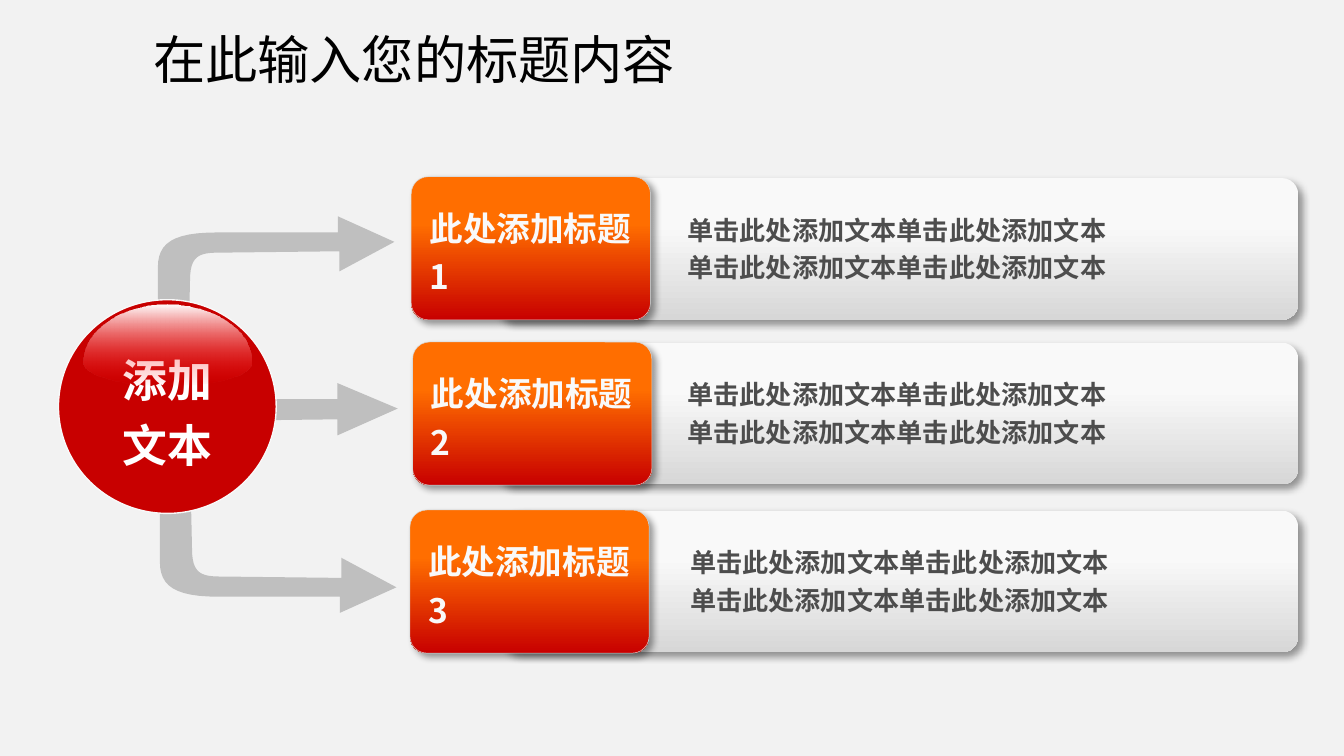
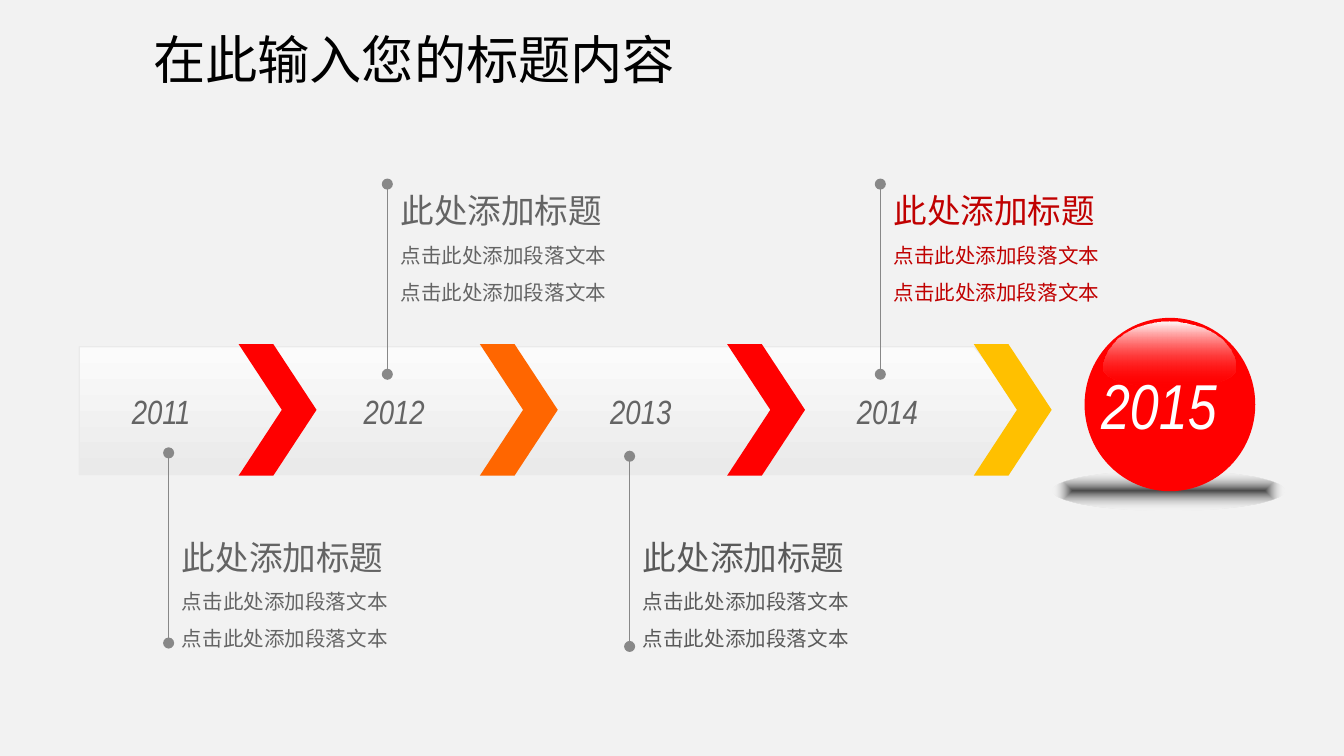
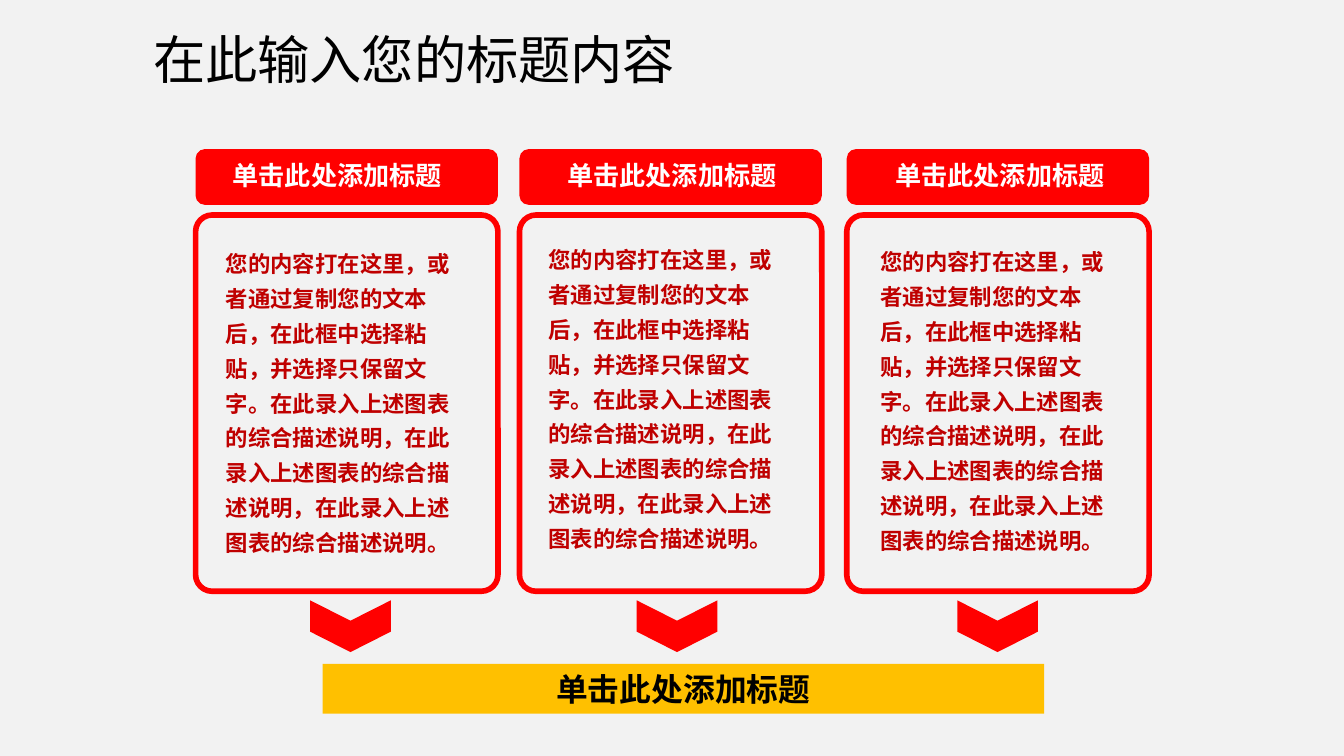
"""Build three business slides: a fan-out list, a timeline and a three-column summary."""
from math import cos, pi, sin

from lxml import etree
from pptx import Presentation
from pptx.dml.color import RGBColor
from pptx.enum.shapes import MSO_CONNECTOR, MSO_SHAPE
from pptx.enum.text import MSO_ANCHOR, MSO_AUTO_SIZE, PP_ALIGN
from pptx.oxml.ns import qn
from pptx.util import Inches, Pt

ROUNDED, OVAL, CHEVRON = MSO_SHAPE.ROUNDED_RECTANGLE, MSO_SHAPE.OVAL, MSO_SHAPE.CHEVRON
PENTAGON, RECTANGLE = MSO_SHAPE.PENTAGON, MSO_SHAPE.RECTANGLE
STRAIGHT = MSO_CONNECTOR.STRAIGHT
LEFT, CENTER = PP_ALIGN.LEFT, PP_ALIGN.CENTER
TOP, MIDDLE = MSO_ANCHOR.TOP, MSO_ANCHOR.MIDDLE
GROW = MSO_AUTO_SIZE.SHAPE_TO_FIT_TEXT

COLUMNS, ROWS = 100, 56.25
UNIT = Inches(10) // COLUMNS
SANS = "Noto Sans CJK SC"
RED, DEEP_RED, DARK_RED = "FF0000", "C80000", "BF0000"
AMBER, ORANGE, WHITE, BLACK = "FFC000", "FF6600", "FFFFFF", "000000"
PAPER, ARROW_GREY, TEXT_GREY = "F2F2F2", "BFBFBF", "646464"
SILVER = [(0.33, "F9F9F9", 100), (1, "D7D7D7", 100)]
FLAME = [(0.33, "FF6E00", 100), (1, DEEP_RED, 100)]
RIBBON = [(0, "FBFBFB", 100), (1, "EAEAEA", 100)]
GLOSS = [(0, WHITE, 100), (1, RED, 0)]
FLOOR = [(0, BLACK, 70), (1, WHITE, 0)]
GROWING = {"word_wrap": True, "auto_size": GROW}
TIGHT = {**GROWING, "margin_left": Inches(0.09), "margin_right": Inches(0.09),
         "margin_top": Inches(0.04), "margin_bottom": Inches(0.04)}
CENTRED = {"word_wrap": True, "vertical_anchor": MIDDLE}


def draw(slide, outline, box=(), fill=None, line=None, adjust=None, shadow=False):
    """Draw a preset, a polygon given as a list of points, or a text box for None."""
    place = [round(value * UNIT) for value in box]
    if outline is None:
        return slide.shapes.add_textbox(*place)
    if isinstance(outline, list):
        points = [(round(x * UNIT), round(y * UNIT)) for x, y in outline]
        builder = slide.shapes.build_freeform(*points[0])
        builder.add_line_segments(points[1:], close=True)
        shape = builder.convert_to_shape()
    else:
        shape = slide.shapes.add_shape(outline, *place)
    if adjust is not None:
        shape.adjustments[0] = adjust
    properties = shape._element.spPr
    if fill is None:
        shape.fill.background()
    elif isinstance(fill, str):
        shape.fill.solid()
        shape.fill.fore_color.rgb = RGBColor.from_string(fill)
    else:
        shape.fill.gradient()
        shape.fill.gradient_angle = 270
        for stop, (position, colour, _) in zip(shape.fill.gradient_stops, fill):
            stop.position = position
            stop.color.rgb = RGBColor.from_string(colour)
        for colour, (_, _, opacity) in zip(list(properties.iter(qn("a:srgbClr"))), fill):
            if opacity < 100:
                etree.SubElement(colour, qn("a:alpha"), val=str(opacity * 1000))
    if line:
        shape.line.color.rgb = RGBColor.from_string(line[0])
        shape.line.width = Pt(line[1])
    else:
        shape.line.fill.background()
    shape.shadow.inherit = False
    if shadow:
        outer = etree.SubElement(properties.find(qn("a:effectLst")), qn("a:outerShdw"),
                                 blurRad=str(Pt(4)), dist=str(Pt(3)), dir="2700000", algn="tl")
        colour = etree.SubElement(outer, qn("a:srgbClr"), val=BLACK)
        etree.SubElement(colour, qn("a:alpha"), val="40000")
    return shape


def write(shape, lines, colour, frame_format, paragraph_format, **font_format):
    """Write (text, size) lines into a shape, one paragraph each."""
    frame = shape.text_frame
    for key, value in frame_format.items():
        setattr(frame, key, value)
    for index, (text, size) in enumerate(lines):
        paragraph = frame.add_paragraph() if index else frame.paragraphs[0]
        for key, value in paragraph_format.items():
            setattr(paragraph, key, value)
        paragraph._p.get_or_add_pPr().set("hangingPunct", "0")
        run = paragraph.add_run()
        run.text = text
        for key, value in {"name": SANS, "size": Pt(size), **font_format}.items():
            setattr(run.font, key, value)
        run.font.color.rgb = RGBColor.from_string(colour)
        etree.SubElement(run._r.get_or_add_rPr(), qn("a:ea"), typeface=SANS)


prs = Presentation()
prs.slide_width, prs.slide_height = COLUMNS * UNIT, round(ROWS * UNIT)
backdrop = prs.slide_master.background.fill
backdrop.solid()
backdrop.fore_color.rgb = RGBColor.from_string(PAPER)

slides = [prs.slides.add_slide(prs.slide_layouts[5]) for _ in range(3)]
for slide in slides:
    title = slide.shapes.title
    for side, value in {"left": 10.4, "top": 1.5, "width": 42.4, "height": 5.7}.items():
        setattr(title, side, round(value * UNIT))
    write(title, [("在此输入您的标题内容", 28)], BLACK,
          {**GROWING, "vertical_anchor": TOP}, {"alignment": LEFT})
fan_out, timeline, summary = slides

bend_segments = [
    [(14.3, 41.2)], [(14.4, 42.9), (15.3, 42.9), (16.8, 42.9)], [(25.4, 43)],
    [(25.4, 41.5)], [(29.5, 43.7)], [(25.3, 45.6)], [(25.3, 44.4)], [(16.3, 44.4)],
    [(13, 44.4), (11.9, 43.6), (11.9, 41.8)], [(11.9, 31.9)],
    [(12.2, 30.3), (13.6, 30.4), (14.1, 32.1)],
]
bend = [(14.1, 32.1)]
for segment in bend_segments:
    if len(segment) == 1:
        bend += segment
        continue
    knots = [bend[-1], *segment]
    for step in range(1, 13):
        t = step / 12
        weights = ((1 - t) ** 3, 3 * t * (1 - t) ** 2, 3 * t * t * (1 - t), t ** 3)
        bend.append(tuple(sum(w * knot[axis] for w, knot in zip(weights, knots))
                          for axis in (0, 1)))
straight_arrow = [(8.6, 29.7), (25.1, 29.7), (25.1, 28.5), (29.6, 30.4),
                  (25.1, 32.4), (25.1, 31.2), (8.7, 31.4)]
for arrow in (bend, straight_arrow, [(x - 0.15, 61.7 - y) for x, y in bend]):
    draw(fan_out, arrow, fill=ARROW_GREY)

card_right = 96.6
fan_rows = [(30.6, 13.15, 36.9, 13.25), (30.7, 25.45, 36.9, 25.5), (30.5, 37.95, 37.3, 38)]
for number, (tile_left, tile_top, card_left, card_top) in enumerate(fan_rows, 1):
    card = draw(fan_out, ROUNDED, (card_left, card_top, card_right - card_left, 10.55),
                SILVER, adjust=0.115, shadow=True)
    write(card, [("单击此处添加文本单击此处添加文本", 14)] * 2, "4D4D4D",
          {**CENTRED, "margin_bottom": Inches(0.1)},
          {"alignment": CENTER, "line_spacing": 1.2}, bold=True)
    tile = draw(fan_out, ROUNDED, (tile_left, tile_top, 17.8, 10.65), FLAME,
                ("D7D7D7", 0.25), adjust=0.119, shadow=True)
    write(tile, [(f"此处添加标题{number}", 18)], "F9F9F9", CENTRED,
          {"alignment": LEFT, "line_spacing": 1.2}, bold=True)

floor = draw(timeline, OVAL, (78.3, 35, 17.3, 3), FLOOR)
floor_gradient = floor._element.spPr.find(qn("a:gradFill"))
floor_gradient.remove(floor_gradient.find(qn("a:lin")))
focus = etree.SubElement(floor_gradient, qn("a:path"), {"path": "shape"})
etree.SubElement(focus, qn("a:fillToRect"), {side: "50000" for side in "ltrb"})

draw(timeline, PENTAGON, (5.9, 25.8, 70.4, 9.5), RIBBON, ("EAEAEA", 0.75), adjust=0.4)
milestones = [
    ("2011", 8.9, 17.75, RED, 12.55, 33.7, 37.95, TEXT_GREY),
    ("2012", 26.15, 35.7, ORANGE, 28.82, 13.7, 12.15, TEXT_GREY),
    ("2013", 44.5, 54.1, RED, 46.85, 33.95, 37.95, "595959"),
    ("2014", 62.85, 72.45, AMBER, 65.5, 13.7, 12.15, "C00000"),
]
for year, year_left, mark_left, mark, pin_x, pin_top, note_top, note_colour in milestones:
    draw(timeline, CHEVRON, (mark_left, 25.6, 5.8, 9.8), mark, adjust=0.555)
    label = draw(timeline, None, (year_left, 28.6, 6.8, 4.1))
    write(label, [(year, 18)], TEXT_GREY,
          {**TIGHT, "word_wrap": False, "margin_top": Inches(0.05)},
          {"alignment": LEFT}, name="Arial Narrow", italic=True)
    pin = timeline.shapes.add_connector(
        STRAIGHT, *(round(v * UNIT) for v in (pin_x, pin_top, pin_x, pin_top + 14.15)))
    pin.line.color.rgb = RGBColor.from_string("888888")
    pin.line.width = Pt(0.75)
    pin_properties = pin._element.spPr
    for end in ("a:headEnd", "a:tailEnd"):
        etree.SubElement(pin_properties.find(qn("a:ln")), qn(end), type="oval")
    etree.SubElement(pin_properties, qn("a:effectLst"))
    note = draw(timeline, None, (pin_x, note_top, 19.8, 11.4))
    write(note, [("此处添加标题", 18)] + [("点击此处添加段落文本", 11)] * 2, note_colour,
          GROWING, {"line_spacing": 1.5}, name="Arial")

balls = [
    (fan_out, (4.35, 22.3, 16.2, 15.9), DEEP_RED, ("F9F9F9", 0.75),
     ["添加", "文本"], (6.2, 22.7, 12.5, 6)),
    (timeline, (80.7, 23.65, 12.7, 12.9), RED, None, [], (82.1, 23.95, 9.8, 4.9)),
]
for slide, box, colour, rim, words, (left, top, width, height) in balls:
    ball = draw(slide, OVAL, box, colour, rim)
    write(ball, [(word, 24) for word in words], WHITE, CENTRED,
          {"alignment": CENTER, "line_spacing": 1.2}, name="Arial", bold=True)
    waist = 0.71 * height
    angles = [step * pi / 24 for step in range(48)]
    draw(slide, [(left + width / 2 * (1 + cos(a)),
                  top + waist + sin(a) * (height - waist if sin(a) > 0 else waist))
                 for a in angles], fill=GLOSS)

current_year = draw(timeline, None, (80.95, 26.75, 11.4, 6.7))
write(current_year, [("2015", 34)], WHITE, {"word_wrap": False, "auto_size": GROW}, {},
      name="Arial Narrow", italic=True)

advice = ("您的内容打在这里，或者通过复制您的文本后，在此框中选择粘贴，并选择只保留文字。"
          "在此录入上述图表的综合描述说明，在此录入上述图表的综合描述说明，"
          "在此录入上述图表的综合描述说明。")
summary_heading = "单击此处添加标题"
pillars = [(14.55, 15, 15.9, 17.6, 24.15), (38.65, 39.9, 39.9, 17.3, 48.45),
           (63, 64.3, 64.6, 17.45, 72.3)]
for left, heading_left, advice_left, advice_top, pointer_left in pillars:
    draw(summary, ROUNDED, (left, 16, 22.5, 28), line=(RED, 3), adjust=0.055)
    draw(summary, ROUNDED, (left, 11.1, 22.5, 4.15), RED)
    heading = draw(summary, None, (heading_left, 11.45, 20.2, 3.3))
    write(heading, [(summary_heading, 14)], WHITE, TIGHT, {"alignment": CENTER}, bold=True)
    body = draw(summary, None, (advice_left, advice_top, 19.5, 24.5))
    write(body, [(advice, 12)], DARK_RED, TIGHT, {"line_spacing": 1.3}, bold=True)
    pointer = draw(summary, CHEVRON, (pointer_left, 43.6, 3.85, 6), RED, adjust=0.394)
    pointer.rotation = 90

conclusion = draw(summary, RECTANGLE, (24, 49.4, 53.7, 3.7), AMBER)
write(conclusion, [(summary_heading, 17)], BLACK, {**TIGHT, "vertical_anchor": TOP},
      {"alignment": CENTER}, bold=True)

prs.save("out.pptx")
